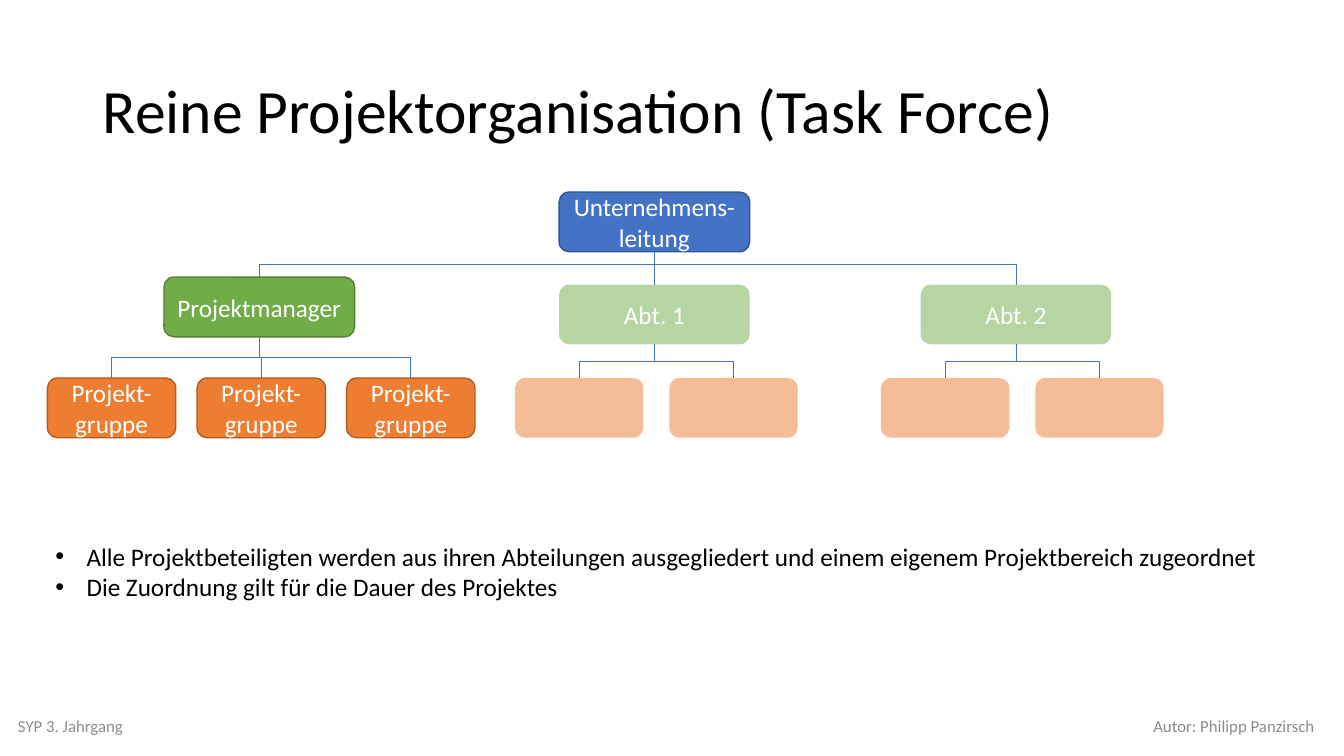
from pptx import Presentation
from pptx.dml.color import RGBColor
from pptx.enum.shapes import MSO_CONNECTOR as Link, MSO_SHAPE as Form
from pptx.enum.text import MSO_ANCHOR as Anchor, PP_ALIGN as Align
from pptx.oxml.ns import qn
from pptx.util import Inches, Pt
from lxml.etree import SubElement as sub

deck = Presentation()
deck.slide_width, deck.slide_height = Inches(13.33), Inches(7.5)
col, row = deck.slide_width / 100, deck.slide_height / 100
slide = deck.slides.add_slide(deck.slide_layouts[6])
shapes = slide.shapes


def paint(form, tint):
    form.solid()
    form.fore_color.rgb = RGBColor.from_string(tint)


def write(shape, lines, size, tint, align, anchor=Anchor.MIDDLE):
    frame = shape.text_frame
    frame.word_wrap = True
    frame.vertical_anchor = anchor
    frame.text = "\n".join(lines)
    for para in frame.paragraphs:
        para.alignment = align
        para.font.name = "Calibri"
        para.font.size = Pt(size)
        paint(para.font.fill, tint)
    return frame.paragraphs


notes = [
    "Alle Projektbeteiligten werden aus ihren Abteilungen ausgegliedert "
    "und einem eigenem Projektbereich zugeordnet",
    "Die Zuordnung gilt für die Dauer des Projektes",
]
texts = [
    (6.9, 5.33, 86.25, 19.33, ["Reine Projektorganisation (Task Force)"],
     44, "000000", Align.LEFT, Anchor.MIDDLE),
    (0.6, 93.33, 33.75, 5.33, ["SYP 3. Jahrgang"],
     12, "8C8C8C", Align.LEFT, Anchor.MIDDLE),
    (64.8, 93.33, 33.75, 5.33, ["Autor: Philipp Panzirsch"],
     12, "8C8C8C", Align.RIGHT, Anchor.MIDDLE),
    (3.38, 70.93, 95.18, 9.47, notes,
     18, "000000", Align.LEFT, Anchor.TOP),
]
for x, y, wide, high, lines, *style in texts:
    area = shapes.add_textbox(
        int(x * col), int(y * row), int(wide * col), int(high * row))
    paras = write(area, lines, *style)
    if lines is notes:
        for para in paras:
            props = para._p.get_or_add_pPr()
            props.set("marL", str(Inches(0.31)))
            props.set("indent", str(-Inches(0.31)))
            sub(props, qn("a:buFont")).set("typeface", "Arial")
            sub(props, qn("a:buChar")).set("char", "•")
    elif style[0] == 44:
        paras[0].line_spacing = 0.9

big, small, high = 14.18, 9.55, 7.9
top, base = 25.4, 50
looks = {
    "lead": ("4472C4", "325491"),
    "head": ("70AD47", "538035"),
    "team": ("ED7D31", "AF5C24"),
}
nodes = [("root", None, 41.6, top, big, "lead", "Unternehmens-leitung", False)]
units = [
    ("Projektmanager", 12.2, 36.65, 3.53, 11.13, 3, "Projekt-gruppe", False),
    ("Abt. 1", 41.6, 37.65, 38.32, 11.48, 2, "", True),
    ("Abt. 2", 68.5, 37.65, 65.55, 11.48, 2, "", True),
]
for name, x, y, start, step, count, label, pale in units:
    nodes.append((name, "root", x, y, big, "head", name, pale))
    for i in range(count):
        nodes.append((f"{name} {i}", name, start + i * step, base, small,
                      "team", label, pale))

boxes = {}
for key, boss, x, y, wide, look, label, pale in nodes:
    box = shapes.add_shape(Form.ROUNDED_RECTANGLE, int(x * col), int(y * row),
                           int(wide * col), int(high * row))
    box.shadow.inherit = False
    fill, edge = looks[look]
    paint(box.fill, fill)
    if pale:
        tone = box.fill._xPr.find(".//" + qn("a:srgbClr"))
        sub(tone, qn("a:alpha")).set("val", "50000")
        box.line.fill.background()
    else:
        paint(box.line.fill, edge)
        box.line.width = Pt(1)
    if label:
        write(box, [label], 18, "FFFFFF", Align.CENTER)
    boxes[key] = box

bend = 1.7 * row
for key, boss, *rest in nodes[1:]:
    head, box = boxes[boss], boxes[key]
    x1, y1 = head.left + head.width // 2, head.top + head.height
    x2, y2 = box.left + box.width // 2, box.top
    run, drop = x2 - x1, y2 - y1
    kind = Link.ELBOW if run else Link.STRAIGHT
    line = shapes.add_connector(kind, x1, y1, x2, y2)
    line.begin_connect(head, 2)
    line.end_connect(box, 0)
    paint(line.line.fill, "4472C4")
    line.line.width = Pt(0.5)
    props = line._element.spPr
    sub(props, qn("a:effectLst"))
    if run:
        line.left = (x1 + x2 - drop) // 2
        line.top = (y1 + y2 - abs(run)) // 2
        line.width, line.height = drop, abs(run)
        frame = props.find(qn("a:xfrm"))
        frame.set("rot", str((90 if run < 0 else 270) * 60000))
        frame.set("flipH", str(int(run > 0)))
        share = bend / drop if boss == "root" else 0.5
        guide = sub(props.find(qn("a:prstGeom")).find(qn("a:avLst")), qn("a:gd"))
        guide.set("name", "adj1")
        guide.set("fmla", f"val {round(share * 100000)}")

deck.save("out.pptx")
